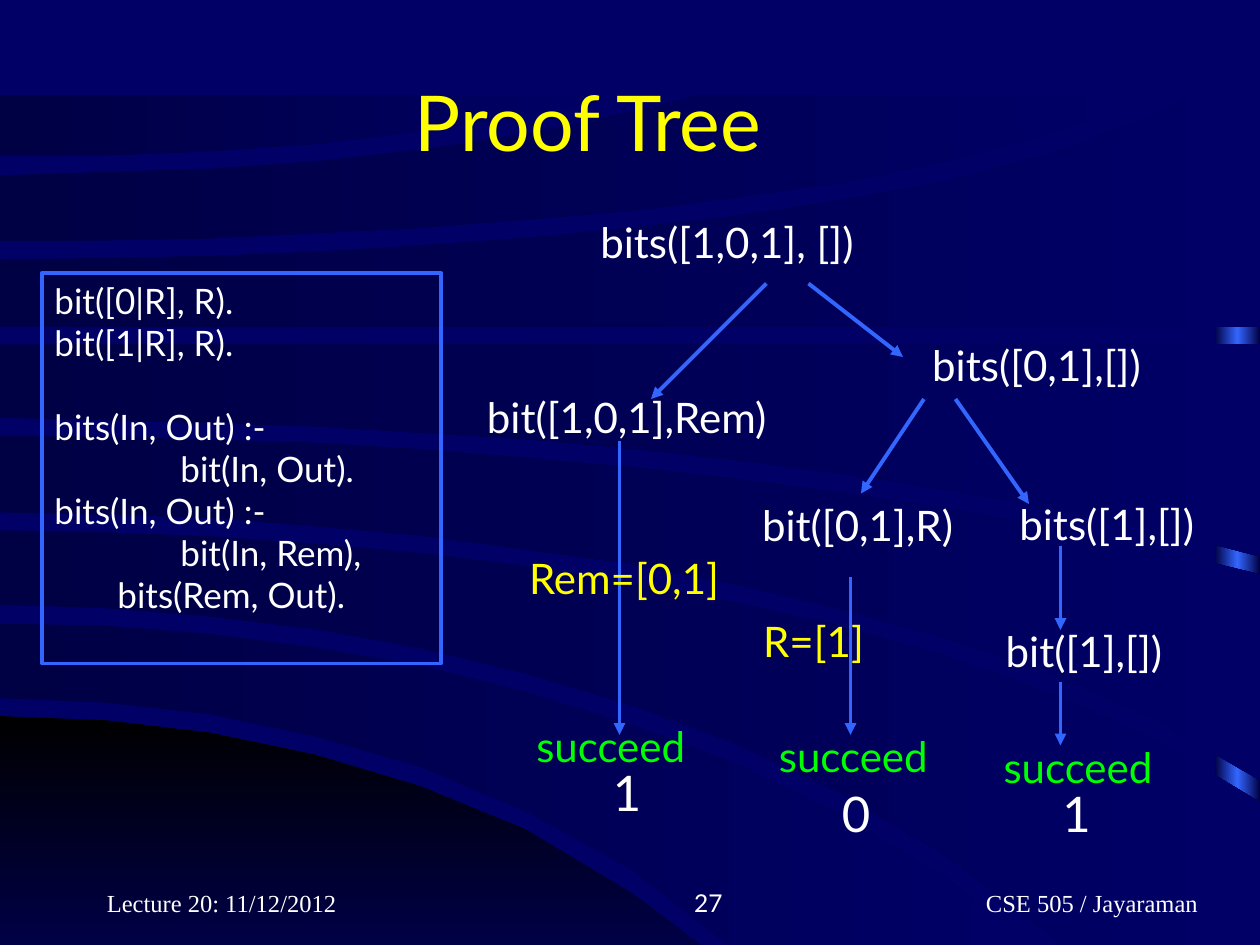
from copy import deepcopy

from lxml import etree
from pptx import Presentation
from pptx.dml.color import RGBColor
from pptx.enum.shapes import MSO_CONNECTOR, MSO_SHAPE
from pptx.enum.text import MSO_ANCHOR, PP_ALIGN
from pptx.oxml.ns import qn
from pptx.util import Inches, Pt

COLS, ROWS = 120, 90
STEP = 10
NAVY, DEEP, BLUE = "000066", "000044", "3366FF"
WHITE, YELLOW, GREEN = "FFFFFF", "FFFF00", "00FF00"
SANS, SERIF = "Lato", "Times New Roman"
LEFT, CENTER, RIGHT = PP_ALIGN.LEFT, PP_ALIGN.CENTER, PP_ALIGN.RIGHT
TOP, MIDDLE, BOTTOM = MSO_ANCHOR.TOP, MSO_ANCHOR.MIDDLE, MSO_ANCHOR.BOTTOM

# Each curve lists its rows at every tenth column, then any extra end points.
BANDS = [
    (([50.5, 50.7, 51.1, 51.8, 52.7, 53.9, 55.5, 57.4, 59.6, 62.5, 66, 70.4, 76.4], [(120, 90)]),
     ([57.6, 57.9, 58.7, 59.9, 61.7, 64.1, 67.1, 70.8, 75.5, 81.4, 89], [(101, 90)])),
    (([59.4, 59.6, 60.4, 61.7, 63.4, 65.9, 69, 72.7, 77.5, 83.5], [(98.4, 90)]),
     ([66.5, 66.9, 68, 70.1, 73, 77.2, 82.7], [(69.4, 90)])),
    (([41.5, 41.6, 41.9, 42.2, 42.8, 43.6, 44.5, 45.6, 46.9, 48.4, 50.2, 52.3, 54.7], []),
     ([48.8, 49, 49.3, 50.1, 51, 52.3, 53.7, 55.6, 58, 60.7, 64.1, 68.5, 74.3], [])),
    (([32.8], [(120, 32.8)]),
     ([39.8, 40, 40.3, 40.6, 41.2, 41.8, 42.7, 43.8, 45.1, 46.6, 48.4, 50.4, 53], [])),
    (([24.7, 24.6, 24.4, 24, 23.4, 22.7, 21.7, 20.6, 19.1, 17.3, 14.6, 11], [(113.3, 9), (120, 9)]),
     ([31.1], [(120, 31.1)])),
    (([16.7, 16.4, 16.1, 15.4, 14.3, 12.8, 10.7], [(66.8, 9)]),
     ([23, 22.9, 22.7, 22.2, 21.7, 20.9, 20.1, 18.8, 17.4, 15.4, 12.8, 9], [])),
    (([9], [(60, 9)]), ([14.9, 14.8, 14.4, 13.7, 12.5, 11, 9], [])),
]
CORNER = (([68.2, 68.6, 69.8, 71.9, 74.9, 79, 85], [(66.7, 90)]), ([90], []))

NODES = [
    ("bits([1,0,1], [])", 56, 20, 36, WHITE),
    ("bit([1,0,1],Rem)", 45.2, 36.7, 31.9, WHITE),
    ("bits([0,1],[])", 87.6, 31.7, 23.6, WHITE),
    ("bit([0,1],R)", 71.4, 47, 21.6, WHITE),
    ("bits([1],[])", 95.9, 46.9, 20.3, WHITE),
    ("bit([1],[])", 94.6, 59, 18.4, WHITE),
    ("Rem=[0,1]", 49.2, 52, 21.5, YELLOW),
    ("R=[1]", 71.5, 58, 12.1, YELLOW),
    ("succeed", 49.9, 68, 17.5, GREEN),
    ("succeed", 73, 69, 17.5, GREEN),
    ("succeed", 94.4, 70, 17.5, GREEN),
]
LEAVES = [("1", 57.2, 72), ("0", 79, 74), ("1", 100, 74)]
ARROWS = [
    (73, 27, 62, 38), (77, 27, 86, 34), (59, 42, 59, 70), (88, 38, 82, 47),
    (91, 38, 98, 48), (81, 55, 81, 70), (101, 52, 101, 60), (101, 65, 101, 71),
]
CODE = [
    "bit([0|R], R).", "bit([1|R], R).", "bits(In, Out) :-", "\tbit(In, Out).",
    "bits(In, Out) :-", "\tbit(In, Rem), \tbits(Rem, Out).",
]


def rgb(color):
    """Turn a hex string into a colour."""
    return RGBColor.from_string(color)


def grid(*cells):
    """Convert grid cells of a twelfth of an inch to lengths."""
    return [Inches(c / 12) for c in cells]


def fill_gradient(shape, colors, angle=0):
    """Give a shape an evenly spaced linear gradient and no line."""
    shape.shadow.inherit = False
    shape.line.fill.background()
    shape.fill.gradient()
    shape.fill.gradient_angle = angle
    stops = shape.fill._fill._gradFill.find(qn("a:gsLst"))
    for _ in colors[2:]:
        stops.append(deepcopy(stops[-1]))
    for i, (stop, color) in enumerate(zip(shape.fill.gradient_stops, colors)):
        stop.color.rgb = rgb(color)
        stop.position = i / (len(colors) - 1)


def add_band(s, edges, colors, angle=0):
    """Draw the area between an upper and a lower curve."""
    upper, lower = ([(i * STEP, y) for i, y in enumerate(rows)] + ends
                    for rows, ends in edges)
    points = [grid(*pt) for pt in upper + lower[::-1]]
    builder = s.shapes.build_freeform(*points[0])
    builder.add_line_segments(points[1:])
    fill_gradient(builder.convert_to_shape(), colors, angle)


def set_tabs(p):
    """Set a tab stop at every inch of a paragraph."""
    tabs = etree.SubElement(p._p.get_or_add_pPr(), qn("a:tabLst"))
    for i in range(8):
        etree.SubElement(tabs, qn("a:tab"), pos=str(Inches(i)), algn="l")


def style(p, size, color, font=SANS, align=LEFT):
    """Set the tabs, alignment and font of a paragraph."""
    set_tabs(p)
    p.alignment = align
    p.font.size, p.font.name = Pt(size), font
    p.font.color.rgb = rgb(color)


def add_text(s, text, cells, size, color, font=SANS, align=LEFT, anchor=TOP, wrap=False):
    """Add a one-paragraph text box."""
    tf = s.shapes.add_textbox(*grid(*cells)).text_frame
    tf.word_wrap, tf.vertical_anchor = wrap, anchor
    p = tf.paragraphs[0]
    p.add_run().text = text
    style(p, size, color, font, align)


def add_arrow(s, cells):
    """Add a line with an arrowhead at its end."""
    line = s.shapes.add_connector(MSO_CONNECTOR.STRAIGHT, *grid(*cells))
    line.line.color.rgb = rgb(BLUE)
    line.line.width = Pt(2.25)
    etree.SubElement(line.line._get_or_add_ln(), qn("a:tailEnd"), type="triangle")
    etree.SubElement(line._element.spPr, qn("a:effectLst"))


def add_code(s):
    """Add the framed program listing."""
    sp = s.shapes.add_shape(MSO_SHAPE.RECTANGLE, *grid(4, 26, 38, 37.2))
    sp.shadow.inherit = False
    sp.fill.background()
    sp.line.color.rgb = rgb(BLUE)
    sp.line.width = Pt(2.25)
    tf = sp.text_frame
    tf.word_wrap, tf.vertical_anchor = True, TOP
    for i, text in enumerate(CODE):
        p = tf.add_paragraph() if i else tf.paragraphs[0]
        p.add_run().text = text
        style(p, 20, WHITE)
    tf.paragraphs[2].space_before = Pt(24)
    pPr = p._p.get_or_add_pPr()
    pPr.set("marL", str(Inches(0.5)))
    pPr.set("indent", "0")


def add_backdrop(s):
    """Paint the background, the side strip and the sweeping bands."""
    s.background.fill.solid()
    s.background.fill.fore_color.rgb = rgb(NAVY)
    strip = s.shapes.add_shape(MSO_SHAPE.RECTANGLE, *grid(115.7, 9.2, 4.3, 80.8))
    fill_gradient(strip, [DEEP, BLUE, DEEP])
    add_band(s, CORNER, ["000000", "000047"], 270)
    for edges in BANDS:
        add_band(s, edges, [DEEP, NAVY])


def main():
    """Build the proof tree slide."""
    prs = Presentation()
    prs.slide_width, prs.slide_height = grid(COLS, ROWS)
    s = prs.slides.add_slide(prs.slide_layouts[6])
    add_backdrop(s)
    add_text(s, "Proof Tree", (5, 4, 102, 15), 44, YELLOW, align=CENTER, anchor=MIDDLE, wrap=True)
    for cells in ARROWS:
        add_arrow(s, cells)
    add_code(s)
    for text, x, y, width, color in NODES:
        add_text(s, text, (x, y, width, 6), 24, color, wrap=width == 36)
    for text, x, y in LEAVES:
        add_text(s, text, (x, y, 5, 6.8), 28, WHITE)
    for text, x, width, font, align in [
        ("Lecture 20: 11/12/2012", 9, 25, SERIF, LEFT),
        ("27", 45, 25, SANS, RIGHT),
        ("\tCSE 505 / Jayaraman", 79, 38, SERIF, CENTER),
    ]:
        add_text(s, text, (x, 82, width, 6), 14, WHITE, font, align, BOTTOM, True)
    prs.save("out.pptx")


if __name__ == "__main__":
    main()
